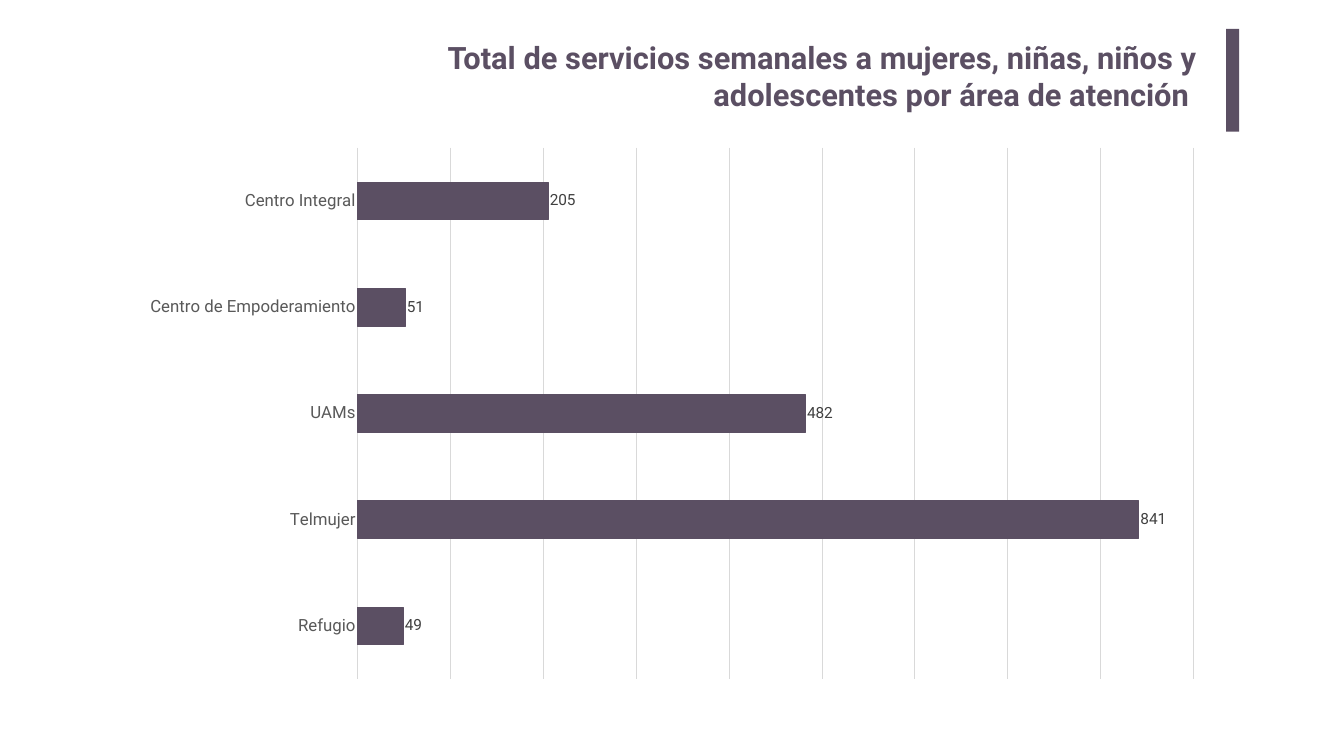
from pptx import Presentation
from pptx import util as u
from pptx.chart.data import CategoryChartData
from pptx.dml.color import RGBColor
from pptx.enum import chart as charts, shapes, text

COLORS = {"plum": "5B4F63", "grid": "D9D9D9", "category": "595959", "value": "404040"}
SERVICES = {
    "Centro Integral": 205,
    "Centro de Empoderamiento": 51,
    "UAMs": 482,
    "Telmujer": 841,
    "Refugio": 49,
}


class PageBuilder:
    font_name = "Roboto"

    def __init__(self, page):
        self.page = page

    def color(self, name):
        return RGBColor.from_string(COLORS[name])

    def style_font(self, font, size, color, bold=False):
        font.name = self.font_name
        font.size = u.Pt(size)
        font.bold = bold
        font.color.rgb = self.color(color)

    def style_line(self, line, color):
        line.color.rgb = self.color(color)
        line.width = u.Pt(0.75)

    def title(self, wording, left, top, width, height):
        box = self.page.shapes.title
        box.left, box.top, box.width, box.height = map(u.Cm, (left, top, width, height))
        frame = box.text_frame
        frame.text = wording
        frame.word_wrap = True
        frame.auto_size = text.MSO_AUTO_SIZE.NONE
        frame.vertical_anchor = text.MSO_ANCHOR.TOP
        frame.margin_left = frame.margin_right = u.Cm(0.51)
        frame.margin_top = frame.margin_bottom = u.Cm(0.25)
        paragraph = frame.paragraphs[0]
        paragraph.alignment = text.PP_ALIGN.RIGHT
        self.style_font(paragraph.runs[0].font, 44, "plum", bold=True)

    def accent_bar(self, left, top, width, height):
        bar = self.page.shapes.add_shape(
            shapes.MSO_SHAPE.RECTANGLE, *map(u.Cm, (left, top, width, height)))
        bar.shadow.inherit = False
        bar.fill.solid()
        bar.fill.fore_color.rgb = self.color("plum")
        bar.line.fill.background()

    def bar_chart(self, values, left, top, width, height):
        data = CategoryChartData()
        data.categories = list(values)
        data.add_series("Series 1", list(values.values()))
        chart = self.page.shapes.add_chart(
            charts.XL_CHART_TYPE.BAR_CLUSTERED,
            *map(u.Cm, (left, top, width, height)), data).chart
        chart.has_title = chart.has_legend = False
        self.style_font(chart.font, 10, "value")

        category_axis = chart.category_axis
        category_axis.reverse_order = True
        category_axis.major_tick_mark = charts.XL_TICK_MARK.NONE
        self.style_font(category_axis.tick_labels.font, 24, "category")
        self.style_line(category_axis.format.line, "grid")

        value_axis = chart.value_axis
        value_axis.visible = False
        value_axis.minimum_scale, value_axis.maximum_scale = 0, 900
        value_axis.major_unit = 100
        value_axis.has_major_gridlines = True
        self.style_line(value_axis.major_gridlines.format.line, "grid")

        plot = chart.plots[0]
        plot.gap_width = 182
        plot.vary_by_categories = False
        series = plot.series[0]
        series.format.fill.solid()
        series.format.fill.fore_color.rgb = self.color("plum")
        self.style_line(series.format.line, "plum")
        labels = series.data_labels
        labels.show_value = True
        labels.position = charts.XL_LABEL_POSITION.OUTSIDE_END
        self.style_font(labels.font, 22, "value")


def main():
    deck = Presentation()
    deck.slide_width, deck.slide_height = u.Cm(67.74), u.Cm(38.1)
    title_only = deck.slide_layouts[5]
    builder = PageBuilder(deck.slides.add_slide(title_only))
    builder.title(
        "Total de servicios semanales a mujeres, niñas, niños y "
        "adolescentes por área de atención ", 16.66, 1.7, 44.2, 5.18)
    builder.accent_bar(61.8, 1.45, 0.66, 5.18)
    builder.bar_chart(SERVICES, 6.48, 6.88, 54.76, 27.89)
    deck.save("out.pptx")


if __name__ == "__main__":
    main()
